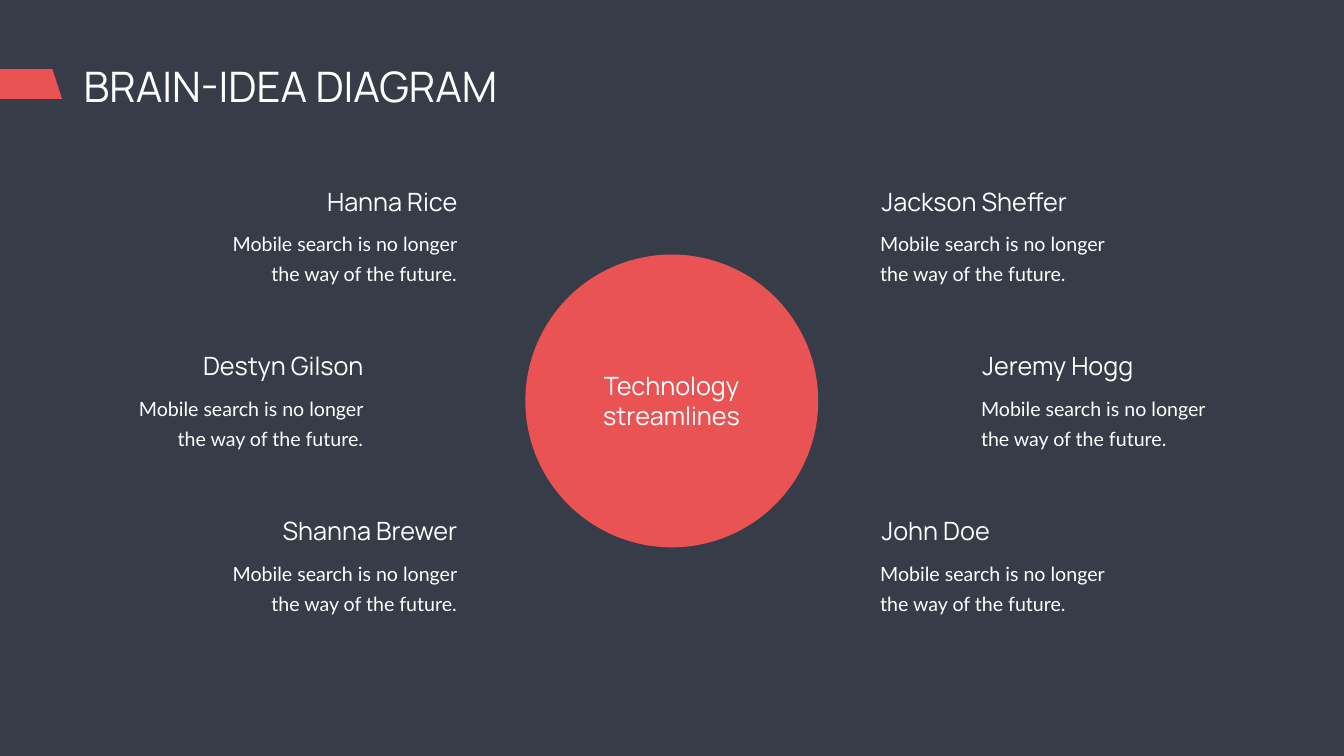
from dataclasses import dataclass

from pptx import Presentation
from pptx.dml.color import RGBColor as Rgb
from pptx.enum.shapes import MSO_SHAPE as Shape
from pptx.enum.text import MSO_AUTO_SIZE as Fit, PP_ALIGN as Align
from pptx.util import Pt

PX = 9144  # EMU in one px, 100 px to the inch


@dataclass(frozen=True)
class Theme:
    back: Rgb = Rgb(0x36, 0x3D, 0x48)
    accent: Rgb = Rgb(0xE9, 0x53, 0x54)
    ink: Rgb = Rgb(0xFF, 0xFF, 0xFF)
    head: str = "Manrope"
    body: str = "Lato"
    title: int = 60
    name: int = 36
    note: int = 28
    lead: int = 43


THEME = Theme()
NOTE = "Mobile search is no longer the way of the future."


def emu(*vals):
    return [v * PX for v in vals]


def paint(shape):
    shape.shadow.inherit = False
    shape.fill.solid()
    shape.fill.fore_color.rgb = THEME.accent
    shape.line.fill.background()


def add_text(slide, box, text, size, font=THEME.head, align=Align.LEFT,
             lead=None, inset=(10, 5)):
    frame = slide.shapes.add_textbox(*emu(*box)).text_frame
    frame.word_wrap = True
    frame.auto_size = Fit.SHAPE_TO_FIT_TEXT
    frame.margin_left = frame.margin_right = inset[0] * PX
    frame.margin_top = frame.margin_bottom = inset[1] * PX
    frame.text = text
    for para in frame.paragraphs:
        para.alignment = align
        if lead:
            para.line_spacing = Pt(lead)
        for run in para.runs:
            run.font.name = font
            run.font.size = Pt(size)
            run.font.color.rgb = THEME.ink


def add_header(slide, box, text):
    x, y, w, h = box
    add_text(slide, (x + 156, y, w - 156, h), text, THEME.title)
    # Slanted tab at the slide edge
    top, base = y + 21, y + 80
    pen = slide.shapes.build_freeform(x + 104, top, scale=PX)
    pen.add_line_segments([(x, top), (x, base), (x + 123, base)], close=True)
    paint(pen.convert_to_shape())


def add_hub(slide, box, text):
    x, y, w, h = box
    paint(slide.shapes.add_shape(Shape.OVAL, *emu(*box)))
    add_text(slide, (x + 99, y + 225, w - 199, 131), text, THEME.name,
             align=Align.CENTER)


def add_idea(slide, box, name, align):
    x, y, w, h = box
    # Name above its note
    add_text(slide, (x + 17, y, w - 30, 71), name, THEME.name, align=align)
    add_text(slide, (x, y + 71, w, h - 71), NOTE, THEME.note, THEME.body,
             align, THEME.lead, (24, 12))


def main():
    deck = Presentation()
    deck.slide_width, deck.slide_height = emu(2666, 1500)
    slide = deck.slides.add_slide(deck.slide_layouts[6])
    slide.background.fill.solid()
    slide.background.fill.fore_color.rgb = THEME.back

    add_header(slide, (0, 116, 1706, 111), "BRAIN-IDEA DIAGRAM")
    add_hub(slide, (1042, 505, 581, 581), "Technology\nstreamlines")

    # Ideas on both sides, the middle row set further out
    sides = [
        (Align.RIGHT, (408, 222, 408),
         ("Hanna Rice", "Destyn Gilson", "Shanna Brewer")),
        (Align.LEFT, (1722, 1922, 1722),
         ("Jackson Sheffer", "Jeremy Hogg", "John Doe")),
    ]
    for align, lefts, names in sides:
        for row, (x, name) in enumerate(zip(lefts, names)):
            add_idea(slide, (x, 364 + 327 * row, 522, 209), name, align)

    deck.save("out.pptx")


if __name__ == "__main__":
    main()
